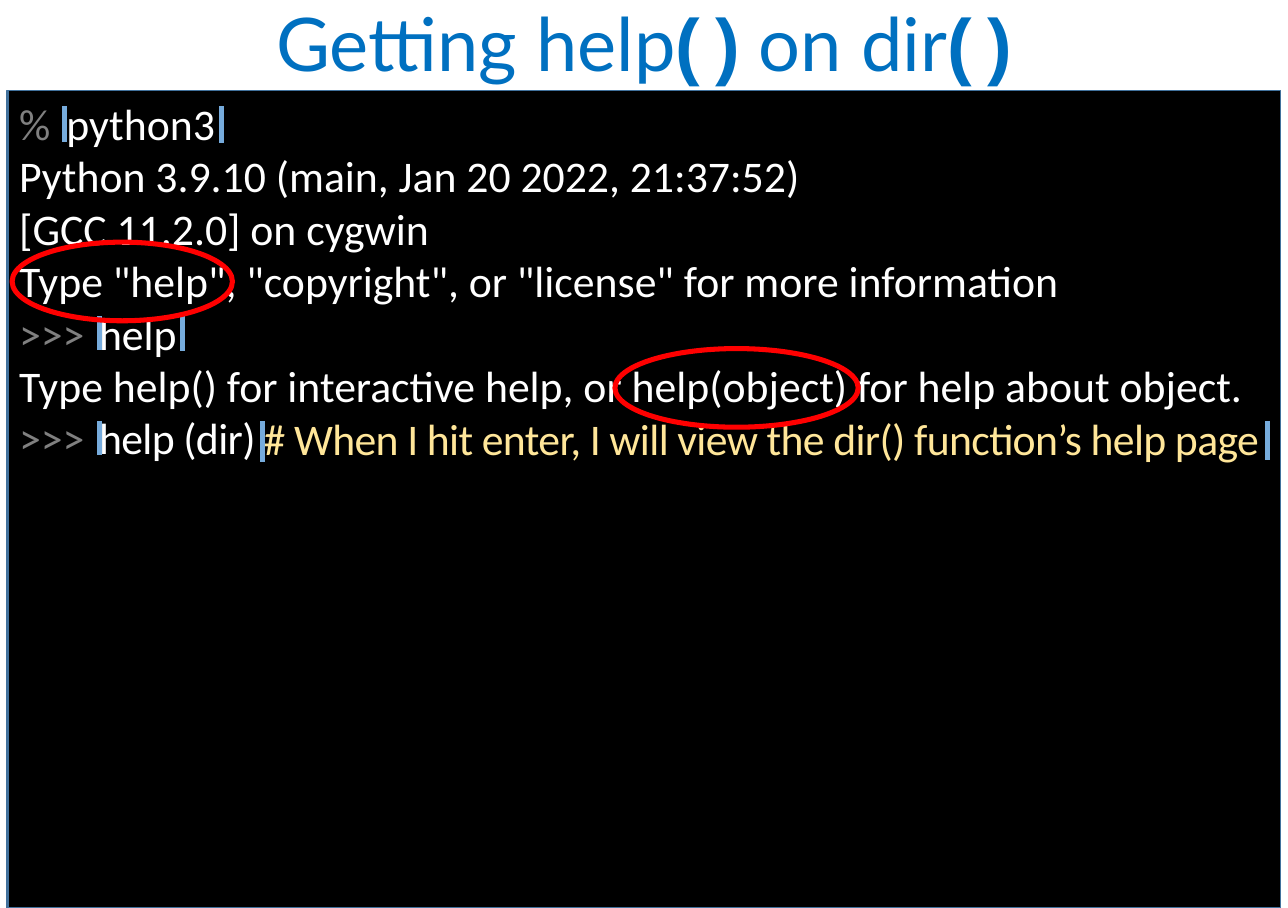
from pptx import Presentation
from pptx.dml.color import RGBColor
from pptx.enum.shapes import MSO_CONNECTOR, MSO_SHAPE
from pptx.enum.text import MSO_ANCHOR, PP_ALIGN
from pptx.oxml.ns import qn
from pptx.util import Inches, Pt
from lxml.etree import SubElement

BLACK = RGBColor(0x00, 0x00, 0x00)
WHITE = RGBColor(0xFF, 0xFF, 0xFF)
GRAY = RGBColor(0x80, 0x80, 0x80)
BLUE = RGBColor(0x00, 0x70, 0xC0)
EDGE_BLUE = RGBColor(0x41, 0x71, 0x9C)
CURSOR_BLUE = RGBColor(0x76, 0xAB, 0xDC)
RED = RGBColor(0xFF, 0x00, 0x00)
YELLOW = RGBColor(0xFF, 0xE6, 0x99)

# Grid: a column is a tenth of an inch, a row is one line of terminal text
COLUMN, ROW = 0.1, 0.433
FIRST_CURSOR_ROW = 2.03
TIGHT = -0.4


class TerminalSlide:
    code = {"name": "Calibri", "size": Pt(26)}
    title_text = {"name": "Lato", "size": Pt(44), "bold": False}
    title_bracket = {"name": "Arial", "size": Pt(44), "bold": True}
    title_gap = {"name": "Arial", "size": Pt(32), "bold": True}

    def __init__(self, deck):
        self.page = deck.slides.add_slide(deck.slide_layouts[6])

    def place(self, *grid):
        return [Inches(value * unit) for value, unit in zip(grid, (COLUMN, ROW) * 2)]

    def outline(self, line, color, width):
        line.color.rgb = color
        line.width = Pt(width)

    def shape(self, kind, grid, color, width, fill=None):
        shape = self.page.shapes.add_shape(kind, *self.place(*grid))
        shape.shadow.inherit = False
        if fill is None:
            shape.fill.background()
        else:
            shape.fill.solid()
            shape.fill.fore_color.rgb = fill
        self.outline(shape.line, color, width)
        return shape

    def textbox(self, grid):
        return self.page.shapes.add_textbox(*self.place(*grid))

    def line(self, column, top, bottom, color, width):
        line = self.page.shapes.add_connector(
            MSO_CONNECTOR.STRAIGHT, *self.place(column, top, column, bottom))
        SubElement(line._element.spPr, qn("a:effectLst"))
        self.outline(line.line, color, width)

    def fill_text(self, box, lines, frame_format, para_format):
        frame = box.text_frame
        for name, value in {"word_wrap": True, **frame_format}.items():
            setattr(frame, name, value)
        for number, spans in enumerate(lines):
            para = frame.paragraphs[0] if number == 0 else frame.add_paragraph()
            for name, value in para_format.items():
                setattr(para, name, value)
            for text, style, color, spacing in spans:
                span = para.add_run()
                span.text = text
                for name, value in style.items():
                    setattr(span.font, name, value)
                span.font.color.rgb = color
                if spacing:
                    span._r.get_or_add_rPr().set("spc", str(round(spacing * 100)))


def output(text):
    return [(text, TerminalSlide.code, WHITE, 0)]


def prompt(mark, gap, command, spacing=0):
    code = TerminalSlide.code
    return [(mark, code, GRAY, 0), (" ", code, GRAY, gap), (command, code, WHITE, spacing)]


def main():
    deck = Presentation()
    deck.slide_width, deck.slide_height = Inches(10.64), Inches(7.5)
    slide = TerminalSlide(deck)

    # Terminal window with its session
    terminal = slide.shape(MSO_SHAPE.RECTANGLE, (0.6, 1.73, 105.2, 15.59), EDGE_BLUE, 1, BLACK)
    session = [
        prompt("%", 3.6, "python3"),
        output("Python 3.9.10 (main, Jan 20 2022, 21:37:52)"),
        output("[GCC 11.2.0] on cygwin"),
        output('Type "help", "copyright", or "license" for more information'),
        prompt(">>>", 2.7, "help"),
        output("Type help() for interactive help, or help(object) for help about object."),
        prompt(">>>", 2.7, "help (dir)", TIGHT),
    ]
    slide.fill_text(terminal, session, {"vertical_anchor": MSO_ANCHOR.TOP},
                    {"alignment": PP_ALIGN.LEFT})
    slide.line(0.7, 1.73, 17.3, EDGE_BLUE, 1)

    # Title
    title = slide.textbox((0.7, 0, 105, 2.03))
    heading = []
    for words in ("Getting help", " on dir"):
        heading += [(words, slide.title_text, BLUE, 0), ("(", slide.title_bracket, BLUE, 0),
                    (" ", slide.title_gap, BLUE, 0), (")", slide.title_bracket, BLUE, 0)]
    slide.fill_text(title, [heading],
                    {"vertical_anchor": MSO_ANCHOR.MIDDLE, "margin_top": 0,
                     "margin_bottom": Inches(0.1)},
                    {"alignment": PP_ALIGN.CENTER, "line_spacing": 0.9})

    # Comment after the last command
    comment = slide.textbox((20.8, 7.94, 85.6, 0.83))
    note = "# When I hit enter, I will view the dir() function’s help page"
    slide.fill_text(comment, [[(note, slide.code, YELLOW, TIGHT)]],
                    {"vertical_anchor": MSO_ANCHOR.MIDDLE}, {"alignment": PP_ALIGN.LEFT})

    # Cursor bars around typed text: column, session line, height
    for column, number, height in (
            (5.3, 0, 0.67), (18.3, 0, 0.69), (8.2, 4, 0.65), (15.1, 4, 0.67),
            (8.2, 6, 0.65), (21.7, 6, 0.79), (104.7, 6, 0.74)):
        top = FIRST_CURSOR_ROW + number
        slide.line(column, top, top + height, CURSOR_BLUE, 3)

    # Red rings around the help hints
    for left, top, width in ((1, 4.62, 18.2), (50.8, 6.65, 20.1)):
        slide.shape(MSO_SHAPE.OVAL, (left, top, width, 1.5), RED, 3)

    deck.save("out.pptx")


if __name__ == "__main__":
    main()
